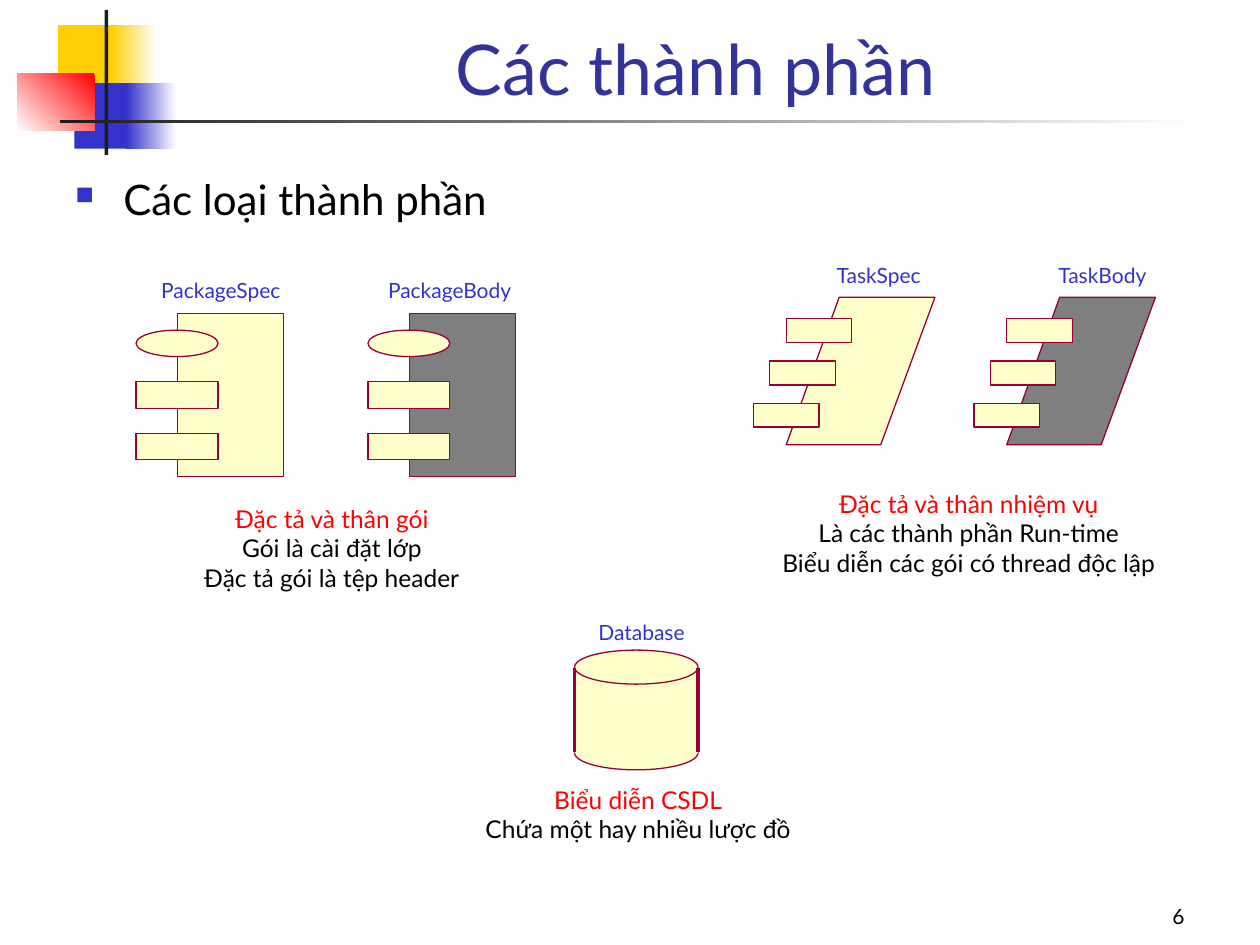
from pptx import Presentation
from pptx.dml.color import RGBColor
from pptx.enum.shapes import MSO_CONNECTOR as Conn, MSO_SHAPE as Kind
from pptx.enum.text import MSO_ANCHOR as Anchor, PP_ALIGN as Align
from pptx.oxml import parse_xml
from pptx.oxml.ns import nsdecls
from pptx.util import Inches, Pt

CREAM, GRAY, WINE = "FFFFCC", "7F7F7F", "990033"
BLUE, RED, BLACK, WHITE = "3333CC", "FF0000", "000000", "FFFFFF"


def rgb(code):
    """Turn a hex string into a colour."""
    return RGBColor.from_string(code)


def finish(shape, fill, line=None):
    """Give a shape a plain fill and an optional hairline."""
    shape.shadow.inherit = False
    shape.fill.solid()
    shape.fill.fore_color.rgb = rgb(fill)
    if line:
        shape.line.color.rgb = rgb(line)
        shape.line.width = Pt(0)
    else:
        shape.line.fill.background()
    return shape


def block(slide, box, fill, line=None, kind=Kind.RECTANGLE):
    """Add a preset shape in the given box."""
    shape = slide.shapes.add_shape(kind, *map(Inches, box))
    return finish(shape, fill, line)


def fade(slide, box, start, end, angle=180):
    """Add a rectangle with a two-colour gradient."""
    shape = block(slide, box, start)
    shape.fill.gradient()
    shape.fill.gradient_angle = angle
    for stop, code in zip(shape.fill.gradient_stops, (start, end)):
        stop.color.rgb = rgb(code)


def edge(slide, x, top, end):
    """Draw an upright hairline."""
    line = slide.shapes.add_connector(
        Conn.STRAIGHT, Inches(x), Inches(top), Inches(x), Inches(end))
    line.line.color.rgb = rgb(WINE)
    line.line.width = Pt(0)
    line._element.spPr.append(parse_xml(f"<a:effectLst {nsdecls('a')}/>"))


def write(slide, box, lines, size, colors, align=Align.LEFT,
          anchor=Anchor.TOP, pad=True):
    """Add a text box with one colour for each line."""
    frame = slide.shapes.add_textbox(*map(Inches, box)).text_frame
    frame.word_wrap = True
    frame.vertical_anchor = anchor
    if not pad:
        frame.margin_left = frame.margin_right = 0
        frame.margin_top = frame.margin_bottom = 0
    frame.text = "\n".join(lines)
    for para, code in zip(frame.paragraphs, colors):
        para.alignment = align
        font = para.runs[0].font
        font.name, font.size = "Lato", Pt(size)
        font.color.rgb = rgb(code)
    return frame


def label(slide, x, y, text):
    """Name a symbol."""
    write(slide, (x, y, 1.1, 0.2), [text], 12, [BLUE], pad=False)


def caption(slide, box, lines):
    """Add a centred note with a red first line."""
    write(slide, box, lines, 14, [RED, BLACK, BLACK], Align.CENTER)


def emblem(slide, x, y):
    """Draw the coloured corner squares and the title rule."""
    block(slide, (x + 0.32, y + 0.12, 0.48, 0.52), "FFCF01")
    fade(slide, (x + 0.74, y + 0.12, 0.36, 0.52), WHITE, "FFCF01")
    block(slide, (x + 0.45, y + 0.58, 0.46, 0.52), BLUE)
    fade(slide, (x + 0.86, y + 0.58, 0.4, 0.52), WHITE, BLUE)
    fade(slide, (x, y + 0.5, 0.61, 0.46), RED, WHITE, 225)
    block(slide, (x + 0.69, y, 0.03, 1.15), "1C1C1C")
    fade(slide, (x + 0.34, y + 0.87, 9, 0.03), WHITE, "1C1C1C")


def heading(slide):
    """Write the title, the bullet line and the slide number."""
    write(slide, (1.26, 0.08, 8.52, 0.84), ["Các thành phần"], 40,
          ["333399"], Align.CENTER, Anchor.BOTTOM)
    frame = write(slide, (0.5, 1.33, 9.29, 5.5), ["Các loại thành phần"],
                  24, [BLACK])
    para = frame.paragraphs[0]
    para.space_before = Pt(6)
    props = para._p.get_or_add_pPr()
    props.set("marL", str(Inches(0.38)))
    props.set("indent", str(Inches(-0.38)))
    for mark in (f'<a:buClr {nsdecls("a")}><a:srgbClr val="{BLUE}"/></a:buClr>',
                 f'<a:buSzPct {nsdecls("a")} val="60000"/>',
                 f'<a:buChar {nsdecls("a")} char="■"/>'):
        props.append(parse_xml(mark))
    write(slide, (7.42, 6.92, 2.08, 0.5), ["6"], 12, [BLACK],
          Align.RIGHT, Anchor.BOTTOM)


def package(slide, x, y, fill, name, shift):
    """Draw a package symbol with its tabs and name."""
    label(slide, x + shift, y - 0.29, name)
    block(slide, (x + 0.33, y, 0.84, 1.29), fill, WINE)
    kinds = Kind.OVAL, Kind.RECTANGLE, Kind.RECTANGLE
    for row, kind in enumerate(kinds):
        box = x, y + 0.13 + 0.41 * row, 0.65, 0.21
        block(slide, box, CREAM, WINE, kind)


def task(slide, x, y, fill, name, shift):
    """Draw a slanted task symbol with its tabs and name."""
    label(slide, x + shift, y - 0.28, name)
    points = [(Inches(x + dx), Inches(y + dy)) for dx, dy in
              ((0.68, 0), (1.44, 0), (1.01, 1.17), (0.26, 1.17))]
    path = slide.shapes.build_freeform(*points[0])
    path.add_line_segments(points[1:], close=True)
    finish(path.convert_to_shape(), fill, WINE)
    for row in range(3):
        box = x + 0.26 - 0.13 * row, y + 0.17 + 0.335 * row, 0.52, 0.19
        block(slide, box, CREAM, WINE)


def store(slide, x, y):
    """Draw a database drum with its name."""
    wide = 0.98
    block(slide, (x, y + 0.68, wide, 0.27), CREAM, WINE, Kind.OVAL)
    block(slide, (x, y + 0.14, wide, 0.68), CREAM)
    block(slide, (x, y, wide, 0.27), CREAM, WINE, Kind.OVAL)
    for side in (x, x + wide):
        edge(slide, side, y + 0.14, y + 0.81)
    label(slide, x + 0.19, y - 0.24, "Database")


def main():
    """Build the slide and save it."""
    deck = Presentation()
    deck.slide_width, deck.slide_height = Inches(10), Inches(7.5)
    slide = deck.slides.add_slide(deck.slide_layouts[6])
    emblem(slide, 0.14, 0.08)
    heading(slide)
    package(slide, 1.08, 2.49, CREAM, "PackageSpec", 0.2)
    package(slide, 2.92, 2.49, GRAY, "PackageBody", 0.16)
    caption(slide, (1.45, 3.95, 2.37, 0.8),
            ["Đặc tả và thân gói", "Gói là cài đặt lớp",
             "Đặc tả gói là tệp header"])
    task(slide, 5.98, 2.36, CREAM, "TaskSpec", 0.66)
    task(slide, 7.73, 2.36, GRAY, "TaskBody", 0.67)
    caption(slide, (6, 3.83, 3.38, 0.8),
            ["Đặc tả và thân nhiệm vụ", "Là các thành phần Run-time",
             "Biểu diễn các gói có thread độc lập"])
    store(slide, 4.56, 5.16)
    caption(slide, (3.67, 6.18, 2.79, 0.57),
            ["Biểu diễn CSDL", "Chứa một hay nhiều lược đồ"])
    deck.save("out.pptx")


if __name__ == "__main__":
    main()
